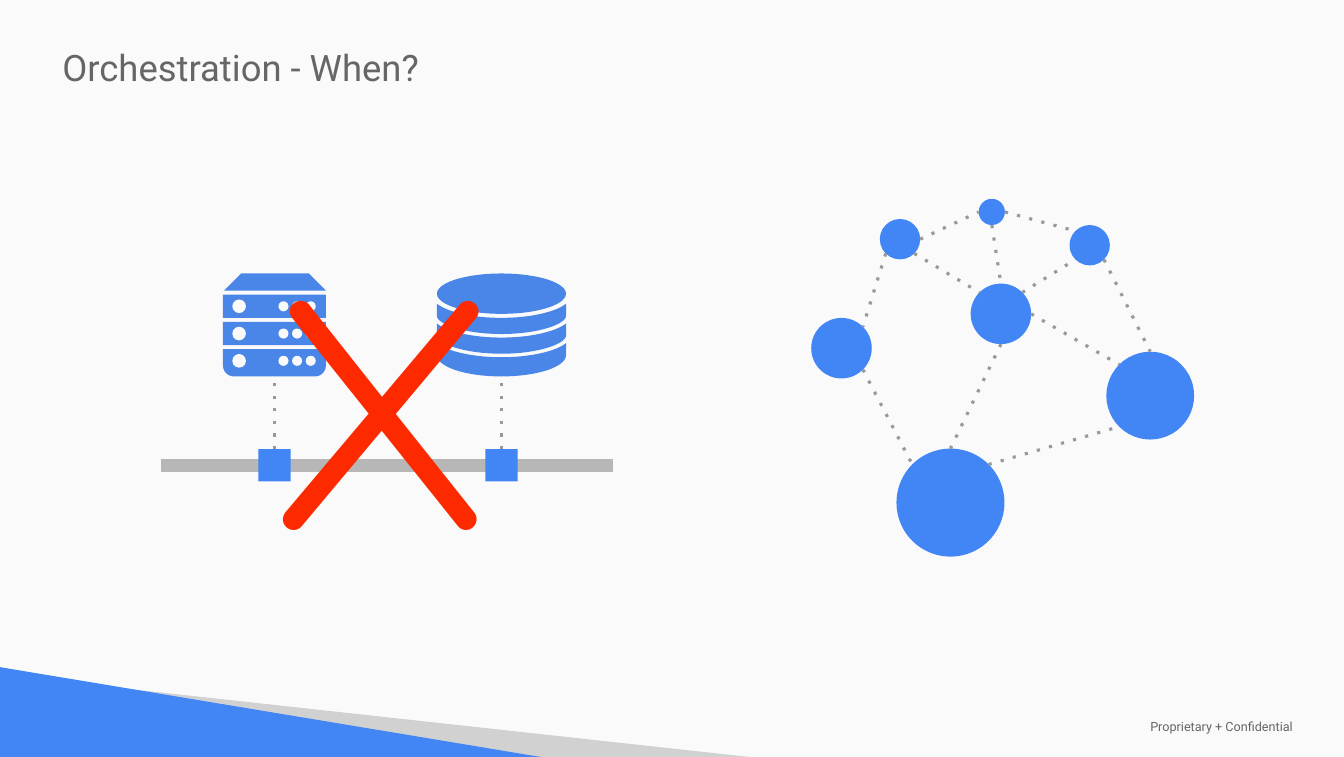
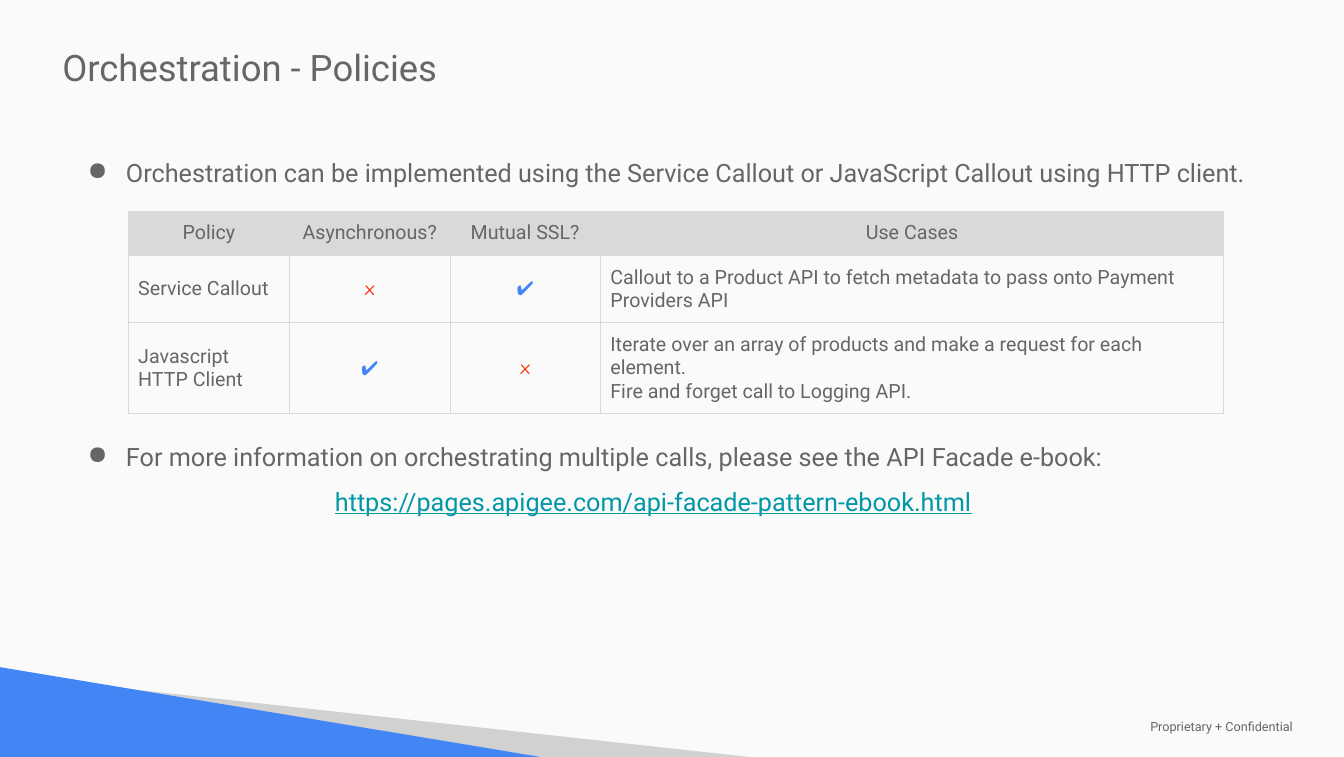
from dataclasses import dataclass
from math import cos, radians, sin
from typing import Any

from lxml import etree
from pptx import Presentation, util as u
from pptx.dml.color import RGBColor
from pptx.enum import shapes as s, text as t
from pptx.oxml.ns import qn

# The slide is a grid of 133.2 columns by 75 rows; all lengths count cells.
COLS, ROWS = 133.2, 75
CELL = u.Inches(0.1)

PAPER = RGBColor(0xFA, 0xFA, 0xFA)
BLUE = RGBColor(0x42, 0x85, 0xF4)
ICON = RGBColor(0x4A, 0x86, 0xE8)
RED = RGBColor(0xFD, 0x2A, 0x00)
TEAL = RGBColor(0x00, 0x97, 0xA7)
INK = RGBColor(0x66, 0x66, 0x66)
DOT = RGBColor(0x99, 0x99, 0x99)
RAIL = RGBColor(0xB7, 0xB7, 0xB7)
WEDGE = RGBColor(0xD1, 0xD1, 0xD1)
RULE = RGBColor(0xD9, 0xD9, 0xD9)
SANS, COMIC = "Roboto", "Comic Neue"
MID, CENTER = t.MSO_ANCHOR.MIDDLE, t.PP_ALIGN.CENTER
KIND = s.MSO_SHAPE
Point = tuple[float, float]


@dataclass(frozen=True)
class Node:
    x: float
    y: float
    size: float

    def rim(self, side: str) -> Point:
        """Point on the edge in a compass direction."""
        turn = radians(45 * "E SE S SW W NW N NE".split().index(side))
        return self.x + self.size / 2 * cos(turn), self.y + self.size / 2 * sin(turn)


@dataclass(frozen=True)
class Link:
    start: str
    out: str
    end: str
    into: str


@dataclass(frozen=True)
class Mark:
    sign: str
    font: str
    color: RGBColor


NODES = {
    "hub": Node(94.2, 49.8, 10.7),
    "east": Node(114, 39.2, 8.7),
    "west": Node(83.4, 34.5, 6),
    "core": Node(99.2, 31.1, 6),
    "right": Node(108, 24.3, 4),
    "left": Node(89.2, 23.7, 4),
    "top": Node(98.3, 21, 2.6),
}
LINKS = [
    Link("left", "E", "top", "W"),
    Link("top", "E", "right", "NW"),
    Link("right", "SE", "east", "N"),
    Link("left", "SE", "core", "NW"),
    Link("top", "S", "core", "N"),
    Link("left", "SW", "west", "NE"),
    Link("west", "SE", "hub", "NW"),
    Link("core", "S", "hub", "N"),
    Link("hub", "NE", "east", "SW"),
    Link("core", "E", "east", "NW"),
    Link("core", "NE", "right", "SW"),
]
NO, YES = Mark("x", COMIC, RED), Mark("✔", "Arial", BLUE)
TABLE = [
    ["Policy", "Asynchronous?", "Mutual SSL?", "Use Cases"],
    ["Service Callout", NO, YES,
     "Callout to a Product API to fetch metadata to pass onto Payment Providers API"],
    ["Javascript HTTP Client", YES, NO,
     "Iterate over an array of products and make a request for each element.\n"
     "Fire and forget call to Logging API."],
]
WIDTHS, HEIGHTS = [16, 15.9, 14.9, 61.8], [4.4, 6.5, 8.9]


def g(cells: float) -> u.Emu:
    return u.Emu(round(cells * CELL))


def write(frame: Any, words: str, *, size: float = 18, color: RGBColor = INK,
          font: str = SANS, align: Any = None, line: bool = False,
          bullet: str = "", before: float = 0) -> None:
    """Append one paragraph for each line of words."""
    for part in words.split("\n"):
        par = frame.add_paragraph() if frame.text else frame.paragraphs[0]
        par.alignment = align
        if before:
            par.space_before = u.Pt(before)
        if bullet:
            props = par._p.get_or_add_pPr()
            props.set("marL", str(g(5)))
            props.set("indent", str(g(-3.8)))
            tint = etree.SubElement(props, qn("a:buClr"))
            etree.SubElement(tint, qn("a:srgbClr")).set("val", str(color))
            etree.SubElement(props, qn("a:buChar")).set("char", bullet)
        run = par.add_run()
        run.text = part
        run.font.size, run.font.name = u.Pt(size), font
        run.font.color.rgb = color
        if line:
            run.font.underline = True


def box(slide: Any, x: float, y: float, w: float, h: float,
        pad: float = 1, anchor: Any = MID) -> Any:
    frame = slide.shapes.add_textbox(g(x), g(y), g(w), g(h)).text_frame
    frame.word_wrap = True
    frame.vertical_anchor = anchor
    frame.margin_left = frame.margin_right = g(pad)
    frame.margin_top = frame.margin_bottom = g(pad)
    return frame


def paint(shape: Any, color: RGBColor) -> Any:
    shape.shadow.inherit = False
    shape.fill.solid()
    shape.fill.fore_color.rgb = color
    shape.line.fill.background()
    return shape


def block(slide: Any, kind: Any, x: float, y: float, w: float, h: float,
          color: RGBColor = BLUE) -> Any:
    return paint(slide.shapes.add_shape(kind, g(x), g(y), g(w), g(h)), color)


def disc(slide: Any, x: float, y: float, size: float, color: RGBColor = BLUE) -> None:
    """Circle around a centre."""
    block(slide, KIND.OVAL, x - size / 2, y - size / 2, size, size, color)


def outline(slide: Any, points: list[Point], color: RGBColor) -> None:
    first, *rest = [(g(x), g(y)) for x, y in points]
    pen = slide.shapes.build_freeform(*first)
    pen.add_line_segments(rest, close=True)
    paint(pen.convert_to_shape(), color)


def wire(slide: Any, start: Point, end: Point, color: RGBColor = DOT,
         width: float = 2.25, dots: bool = True) -> None:
    link = slide.shapes.add_connector(
        s.MSO_CONNECTOR.STRAIGHT, *(g(n) for n in (*start, *end)))
    link.line.color.rgb = color
    link.line.width = u.Pt(width)
    props = link._element.spPr
    if dots:
        etree.SubElement(props.find(qn("a:ln")), qn("a:prstDash")).set("val", "dot")
    etree.SubElement(props, qn("a:effectLst"))


def page(deck: Any, title: str) -> Any:
    """Slide with background, corner wedges, footer and title."""
    slide = deck.slides.add_slide(deck.slide_layouts[6])
    slide.background.fill.solid()
    slide.background.fill.fore_color.rgb = PAPER
    outline(slide, [(11.3, 68.1), (74.3, ROWS), (53.4, ROWS)], WEDGE)
    outline(slide, [(0, 66.1), (0, ROWS), (53.6, ROWS)], BLUE)
    write(box(slide, 112.7, 71.1, 19.9, 1.8, pad=1.3), "Proprietary + Confidential", size=9)
    write(box(slide, 5.2, 2.9, 113.6, 7.4), title, size=26)
    return slide


def server(slide: Any, x: float, y: float) -> None:
    wide, step = 10.2, 2.7
    lid = block(slide, KIND.TRAPEZOID, x + 0.1, y, wide - 0.1, 1.7, ICON)
    lid.adjustments[0] = 1
    for row in range(3):
        top, last = y + 2.1 + row * step, row == 2
        kind = KIND.ROUND_2_SAME_RECTANGLE if last else KIND.RECTANGLE
        tray = block(slide, kind, x, top, wide, 2.7 if last else 2.3, ICON)
        if last:
            tray.adjustments[0], tray.adjustments[1] = 0, 0.4
        disc(slide, x + 1.6, top + 1.15, 1.35, PAPER)
        for lamp in range(3):
            disc(slide, x + 6 + lamp * 1.35, top + 1.15, 1, PAPER)


def arc(x: float, y: float, *knots: Point) -> list[Point]:
    """Cubic curve down to the middle, then its mirror up to the far side."""
    half = []
    for step in range(17):
        k = step / 16
        parts = ((1 - k) ** 3, 3 * k * (1 - k) ** 2, 3 * k * k * (1 - k), k ** 3)
        half.append((sum(p * a for p, (a, _) in zip(parts, knots)),
                     sum(p * b for p, (_, b) in zip(parts, knots))))
    span = 2 * knots[-1][0]
    full = half + [(span - a, b) for a, b in half[-2::-1]]
    return [(x + a, y + b) for a, b in full]


def store(slide: Any, x: float, y: float) -> None:
    """Database cylinder: a lid and three curved bands."""
    block(slide, KIND.OVAL, x, y, 12.8, 4, ICON)
    for band in range(3):
        top, low = y + 3 + band * 1.95, 3.3 if band == 2 else 3
        upper = arc(x, top, (0, 0), (1, 0.8), (3.5, 1.4), (6.4, 1.4))
        lower = arc(x, top, (0, 1.2), (0, low - 1), (2.7, low), (6.4, low))
        outline(slide, upper + lower[::-1], ICON)


def when(deck: Any) -> None:
    slide = page(deck, "Orchestration - When?")
    for node in NODES.values():
        disc(slide, node.x, node.y, node.size)
    for link in LINKS:
        wire(slide, NODES[link.start].rim(link.out), NODES[link.end].rim(link.into))

    wire(slide, (16, 46.1), (60.8, 46.1), RAIL, 9, dots=False)
    for mid in (27.2, 49.7):
        block(slide, KIND.RECTANGLE, mid - 1.6, 44.5, 3.2, 3.2)
        wire(slide, (mid, 44.5), (mid, 36.5))
    server(slide, 22.1, 27.1)
    store(slide, 43.3, 27.1)
    cross = box(slide, 12, 18, 51.6, 39, anchor=t.MSO_ANCHOR.TOP)
    write(cross, "X", size=240, font=COMIC, color=RED, align=CENTER)


def edge(cell: Any) -> None:
    """Thin rule on all four sides."""
    props = cell._tc.get_or_add_tcPr()
    for side in ("lnL", "lnR", "lnT", "lnB"):
        rule = etree.SubElement(props, qn(f"a:{side}"), w=str(u.Pt(0.75)))
        fill = etree.SubElement(rule, qn("a:solidFill"))
        etree.SubElement(fill, qn("a:srgbClr")).set("val", str(RULE))


def grid(slide: Any, x: float, y: float) -> None:
    table = slide.shapes.add_table(
        len(HEIGHTS), len(WIDTHS), g(x), g(y), g(sum(WIDTHS)), g(sum(HEIGHTS))).table
    table.first_row = table.horz_banding = False
    for col, wide in zip(table.columns, WIDTHS):
        col.width = g(wide)
    for i, (row, items) in enumerate(zip(table.rows, TABLE)):
        row.height = g(HEIGHTS[i])
        for cell, item in zip(row.cells, items):
            edge(cell)
            cell.vertical_anchor = MID
            cell.margin_left = cell.margin_right = g(1)
            cell.margin_top = cell.margin_bottom = g(1)
            if i == 0:
                cell.fill.solid()
                cell.fill.fore_color.rgb = RULE
            else:
                cell.fill.background()
            if isinstance(item, Mark):
                write(cell.text_frame, item.sign, size=14, font=item.font,
                      color=item.color, align=CENTER)
            else:
                write(cell.text_frame, item, size=14, align=None if i else CENTER)


def rules(deck: Any) -> None:
    slide = page(deck, "Orchestration - Policies")
    write(box(slide, 6.5, 14.6, 122, 5.1, anchor=t.MSO_ANCHOR.TOP),
          "Orchestration can be implemented using the Service Callout or "
          "JavaScript Callout using HTTP client.", bullet="●")
    grid(slide, 12.7, 20.9)
    more = box(slide, 6.5, 43, 116.5, 8.9)
    write(more, "For more information on orchestrating multiple calls, "
                "please see the API Facade e-book:", bullet="●")
    write(more, "https://pages.apigee.com/api-facade-pattern-ebook.html",
          color=TEAL, line=True, align=CENTER, before=10)


def main() -> None:
    deck = Presentation()
    deck.slide_width, deck.slide_height = g(COLS), g(ROWS)
    when(deck)
    rules(deck)
    deck.save("out.pptx")


if __name__ == "__main__":
    main()
